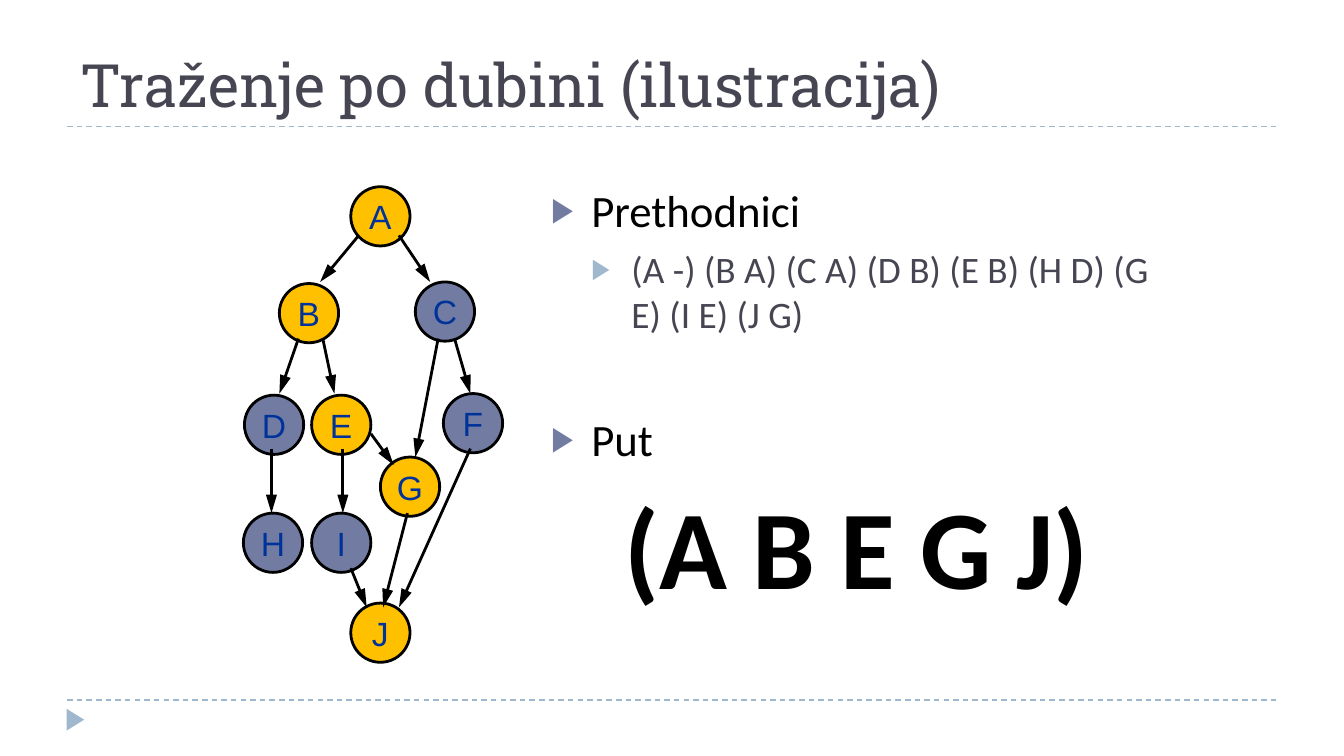
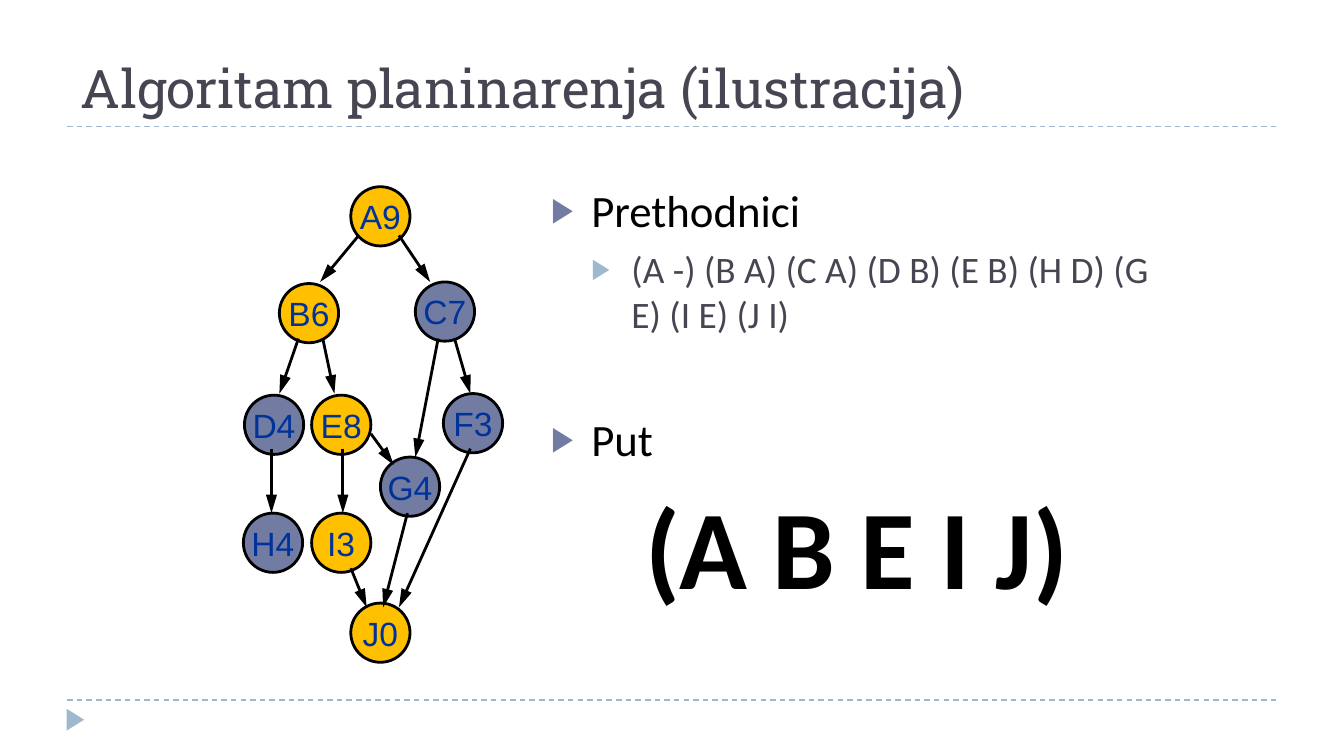
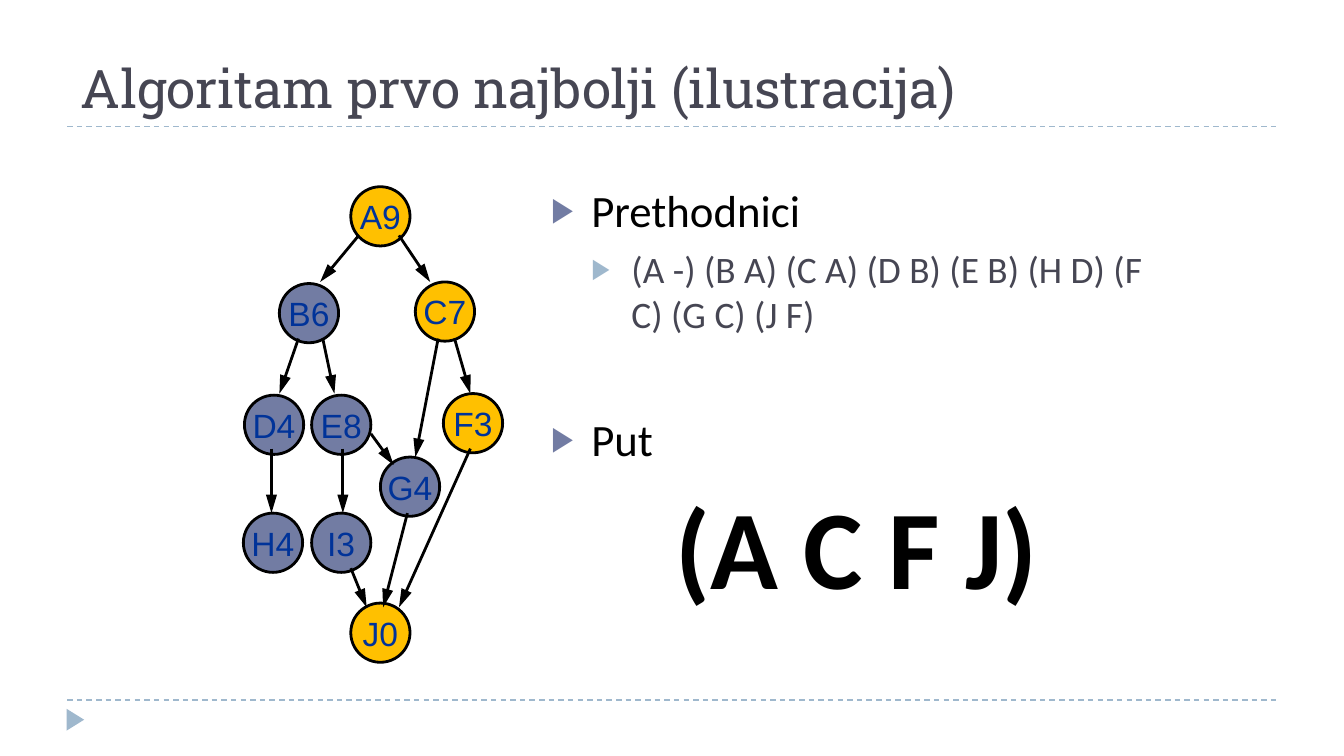
"""Build three slides that show graph search strategies on one tree diagram."""
from dataclasses import dataclass

from lxml.etree import SubElement
from pptx import Presentation
from pptx.dml.color import RGBColor
from pptx.enum.dml import MSO_LINE_DASH_STYLE as Dash
from pptx.enum.shapes import MSO_CONNECTOR as Connector, MSO_SHAPE as Preset
from pptx.enum.text import MSO_ANCHOR as Anchor, MSO_AUTO_SIZE as AutoSize, PP_ALIGN as Align
from pptx.oxml.ns import qn
from pptx.util import Cm, Pt

BLACK = RGBColor(0x00, 0x00, 0x00)
SLATE = RGBColor(0x46, 0x46, 0x53)
INDIGO = RGBColor(0x72, 0x7C, 0xA3)
PALE_BLUE = RGBColor(0x9F, 0xB8, 0xCD)
AMBER = RGBColor(0xFF, 0xC0, 0x00)
NAVY = RGBColor(0x00, 0x33, 0x99)

TITLE_FONT = "Roboto Slab"
BODY_FONT = "Calibri"
NODE_FONT = "Arial"
NODE_SIZE = 1.12
INDENT = 0.76


@dataclass(frozen=True)
class Node:
    letter: str
    left: float
    top: float
    weight: int


@dataclass(frozen=True)
class Edge:
    start_x: float
    start_y: float
    end_x: float
    end_y: float


@dataclass(frozen=True)
class Search:
    title: str
    title_size: float
    predecessors: str
    route: str
    weighted: bool


@dataclass(frozen=True)
class Line:
    text: str
    size: float
    color: RGBColor
    space_before: float
    level: int = 0
    bullet: RGBColor | None = None
    bold: bool = False
    align: Align = Align.LEFT


NODES = [
    Node("A", 6.63, 3.53, 9),
    Node("B", 5.28, 5.36, 6),
    Node("C", 7.85, 5.33, 7),
    Node("D", 4.62, 7.47, 4),
    Node("E", 5.89, 7.47, 8),
    Node("F", 8.38, 7.44, 3),
    Node("G", 7.19, 8.64, 4),
    Node("H", 4.6, 9.7, 4),
    Node("I", 5.89, 9.7, 3),
    Node("J", 6.63, 11.4, 0),
]

EDGES = [
    Edge(6.78, 4.45, 6.05, 5.33),
    Edge(7.54, 4.45, 8.13, 5.33),
    Edge(5.64, 6.4, 5.28, 7.44),
    Edge(6.1, 6.4, 6.32, 7.44),
    Edge(8.59, 6.4, 8.89, 7.44),
    Edge(8.28, 6.4, 7.85, 8.64),
    Edge(5.13, 8.48, 5.13, 9.7),
    Edge(6.48, 8.48, 6.48, 9.7),
    Edge(7.01, 8.2, 7.44, 8.79),
    Edge(6.63, 10.74, 6.93, 11.48),
    Edge(7.7, 9.7, 7.24, 11.48),
    Edge(8.89, 8.48, 7.54, 11.48),
]

SEARCHES = [
    Search("Traženje po dubini (ilustracija)", 32,
           "(A -) (B A) (C A) (D B) (E B) (H D) (G E) (I E) (J G)", "ABEGJ", False),
    Search("Algoritam planinarenja (ilustracija)", 28.5,
           "(A -) (B A) (C A) (D B) (E B) (H D) (G E) (I E) (J I)", "ABEIJ", True),
    Search("Algoritam prvo najbolji (ilustracija)", 28.5,
           "(A -) (B A) (C A) (D B) (E B) (H D) (F C) (G C) (J F)", "ACFJ", True),
]


def place(shape, left: float, top: float, width: float, height: float) -> None:
    """Set the frame of a shape in centimetres."""
    shape.left, shape.top, shape.width, shape.height = map(Cm, (left, top, width, height))


def add_run(paragraph, text: str, font: str, size: float, color: RGBColor, bold: bool = False) -> None:
    """Append a formatted run to a paragraph."""
    run = paragraph.add_run()
    run.text = text
    run.font.name = font
    run.font.size = Pt(size)
    run.font.bold = bold
    run.font.color.rgb = color


def add_line(slide, edge: Edge, color: RGBColor, width: float):
    """Draw a straight connector without a shadow."""
    ends = map(Cm, (edge.start_x, edge.start_y, edge.end_x, edge.end_y))
    connector = slide.shapes.add_connector(Connector.STRAIGHT, *ends)
    connector.line.color.rgb = color
    connector.line.width = Pt(width)
    SubElement(connector.element.spPr, qn("a:effectLst"))
    return connector


def add_arrow(slide, edge: Edge) -> None:
    """Draw a graph edge with an arrowhead at its end."""
    connector = add_line(slide, edge, BLACK, 1.5)
    SubElement(connector.line._get_or_add_ln(), qn("a:tailEnd"), type="triangle", w="med", len="lg")


def add_node(slide, node: Node, search: Search) -> None:
    """Draw a graph node, highlighted when it lies on the route."""
    frame = map(Cm, (node.left, node.top, NODE_SIZE, NODE_SIZE))
    shape = slide.shapes.add_shape(Preset.OVAL, *frame)
    shape.shadow.inherit = False
    shape.fill.solid()
    shape.fill.fore_color.rgb = AMBER if node.letter in search.route else INDIGO
    shape.line.color.rgb = BLACK
    shape.line.width = Pt(1.5)
    text_frame = shape.text_frame
    text_frame.word_wrap = False
    text_frame.vertical_anchor = Anchor.MIDDLE
    paragraph = text_frame.paragraphs[0]
    paragraph.alignment = Align.CENTER
    label = f"{node.letter}{node.weight}" if search.weighted else node.letter
    add_run(paragraph, label, NODE_FONT, 18, NAVY)


def set_bullet(paragraph, line: Line) -> None:
    """Set the indent and the triangle bullet of a paragraph."""
    properties = paragraph._p.get_or_add_pPr()
    properties.set("marL", str(Cm(INDENT * (line.level + 1))))
    properties.set("indent", str(-Cm(INDENT)))
    if line.bullet is None:
        SubElement(properties, qn("a:buNone"))
        return
    color = SubElement(properties, qn("a:buClr"))
    SubElement(color, qn("a:srgbClr"), val=str(line.bullet))
    SubElement(properties, qn("a:buSzPct"), val="76000")
    SubElement(properties, qn("a:buChar"), char="▶")


def fill_title(slide, search: Search) -> None:
    """Write the slide title."""
    text_frame = slide.shapes.title.text_frame
    text_frame.auto_size = AutoSize.NONE
    text_frame.vertical_anchor = Anchor.BOTTOM
    paragraph = text_frame.paragraphs[0]
    paragraph.alignment = Align.LEFT
    add_run(paragraph, search.title, TITLE_FONT, search.title_size, SLATE)


def fill_body(slide, search: Search) -> None:
    """Write the predecessors and the found route."""
    lines = [
        Line("Prethodnici", 24, BLACK, 6, bullet=INDIGO),
        Line(search.predecessors, 20, SLATE, 5, level=1, bullet=PALE_BLUE),
        Line("Put", 24, BLACK, 41, bullet=INDIGO),
        Line(f"({' '.join(search.route)})", 60, BLACK, 6, bold=True, align=Align.CENTER),
    ]
    text_frame = slide.placeholders[1].text_frame
    text_frame.auto_size = AutoSize.NONE
    for index, line in enumerate(lines):
        paragraph = text_frame.add_paragraph() if index else text_frame.paragraphs[0]
        paragraph.level = line.level
        paragraph.alignment = line.align
        paragraph.space_before = Pt(line.space_before)
        set_bullet(paragraph, line)
        add_run(paragraph, line.text, BODY_FONT, line.size, line.color, line.bold)


def add_bands(slide, layout) -> None:
    """Draw the dashed rules and the corner marker and move them to the layout."""
    bands = [add_line(slide, Edge(1.27, y, 24.13, y), PALE_BLUE, 0.75) for y in (2.39, 13.23)]
    for rule in bands:
        rule.line.dash_style = Dash.DASH
    marker = slide.shapes.add_shape(Preset.ISOSCELES_TRIANGLE, *map(Cm, (1.22, 13.44, 0.41, 0.33)))
    marker.rotation = 90
    marker.shadow.inherit = False
    marker.fill.solid()
    marker.fill.fore_color.rgb = PALE_BLUE
    marker.line.fill.background()
    for shape in [*bands, marker]:
        layout.shapes.element.append(shape.element)


def add_search_slide(presentation, layout, search: Search):
    """Add one slide with the graph and the text of a search."""
    slide = presentation.slides.add_slide(layout)
    fill_title(slide, search)
    for node in NODES:
        add_node(slide, node, search)
    for edge in EDGES:
        add_arrow(slide, edge)
    fill_body(slide, search)
    return slide


def main() -> None:
    """Build and save the presentation."""
    presentation = Presentation()
    presentation.slide_width = Cm(25.4)
    presentation.slide_height = Cm(14.29)
    layout = presentation.slide_layouts[1]
    place(layout.placeholders[0], 1.27, 0.48, 22.86, 1.9)
    place(layout.placeholders[1], 10.16, 3.33, 12.06, 9.2)
    slides = [add_search_slide(presentation, layout, search) for search in SEARCHES]
    add_bands(slides[0], layout)
    presentation.save("out.pptx")


main()
